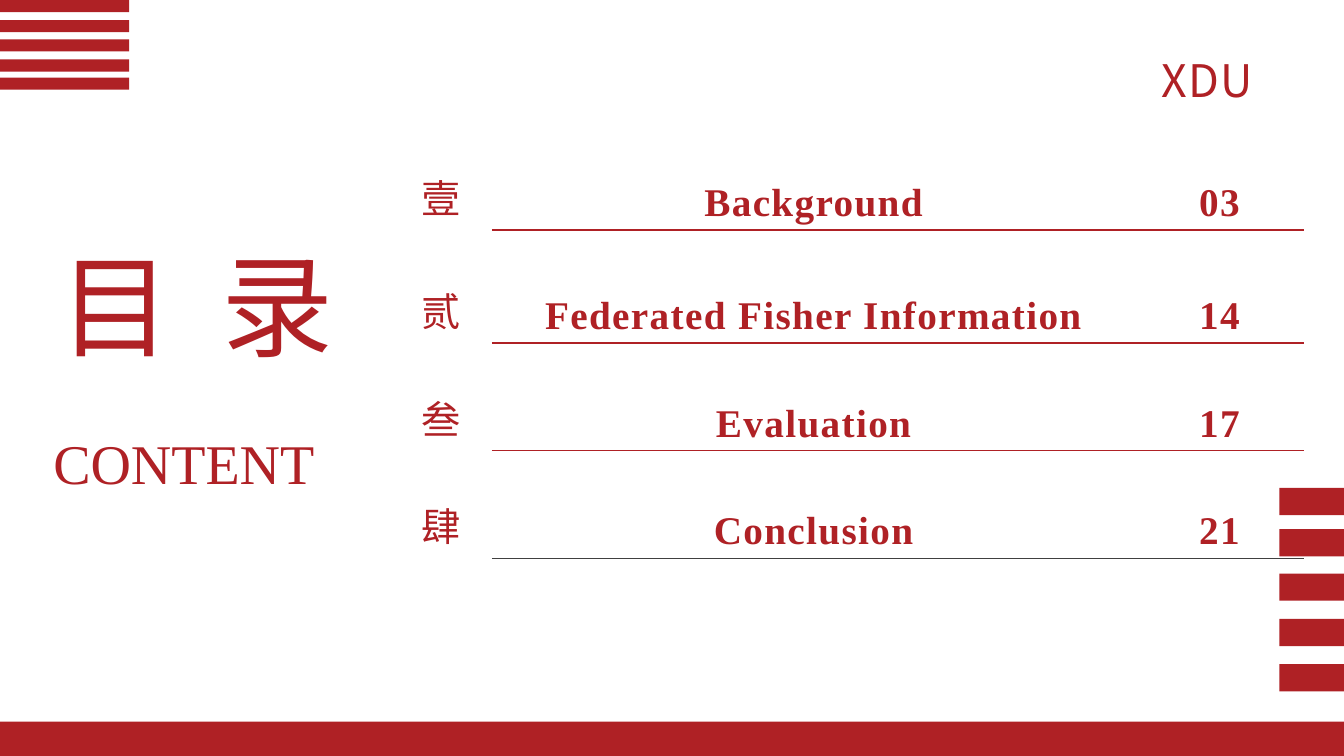
from lxml.etree import SubElement
from pptx import Presentation
from pptx.dml.color import RGBColor
from pptx.enum.shapes import MSO_SHAPE
from pptx.enum.text import MSO_ANCHOR, MSO_AUTO_SIZE, PP_ALIGN
from pptx.oxml import parse_xml
from pptx.oxml.ns import nsdecls, qn
from pptx.util import Inches, Pt

RED = RGBColor(0xAF, 0x21, 0x25)
DARK = RGBColor(0x40, 0x40, 0x40)
CJK, LATIN = "Noto Sans CJK SC", "Times New Roman"

CONTENTS = [
    ("壹", "Background", "03"),
    ("贰", "Federated Fisher Information", "14"),
    ("叁", "Evaluation", "17"),
    ("肆", "Conclusion", "21"),
]
COLUMNS = (1.02, 6.38, 1.67)
ROWS = (1.07, 1.12, 1.07, 1.07)
HEADINGS = [  # text, box, size, font, tracking, alignment, line spacing, wrap
    ("XDU", (11.42, 0.31, 1.21, 0.74), 32, CJK, 1, PP_ALIGN.JUSTIFY, 1.3, False),
    ("目 录", (0.49, 2.3, 3.11, 1.45), 80, CJK, 9, PP_ALIGN.LEFT, None, False),
    ("CONTENT", (0.43, 4.2, 3.35, 0.77), 40, LATIN, 0, PP_ALIGN.JUSTIFY, None, True),
]
BAND = (0, 7.16, 13.33, 0.34)
STRIPES = [  # left, width, height, tops
    (0, 1.28, 0.12, (0, 0.2, 0.39, 0.59, 0.77)),
    (12.69, 0.64, 0.27, (4.84, 5.25, 5.69, 6.14, 6.59)),
]


def style_text(p, size, font, tracking=0, bold=False):
    """Format the paragraph's runs; tracking is in points."""
    for r in p.runs:
        r.font.size, r.font.name, r.font.bold = Pt(size), font, bold
        r.font.color.rgb = RED
        rPr = r._r.get_or_add_rPr()
        if tracking:
            rPr.set("spc", str(tracking * 100))
        SubElement(rPr, qn("a:ea")).set("typeface", font)


def add_heading(slide, text, box, size, font, tracking, align, spacing, wrap):
    tf = slide.shapes.add_textbox(*map(Inches, box)).text_frame
    tf.word_wrap = wrap
    tf.auto_size = MSO_AUTO_SIZE.SHAPE_TO_FIT_TEXT
    p = tf.paragraphs[0]
    p.text = text
    p.alignment, p.line_spacing = align, spacing
    style_text(p, size, font, tracking)


def set_borders(cell, **rules):
    """Draw the sides given as (colour, points); leave the others bare."""
    tcPr = cell._tc.get_or_add_tcPr()
    for i, side in enumerate("LRTB"):
        if side in rules:
            color, width = rules[side]
            fill = f'<a:solidFill><a:srgbClr val="{color}"/></a:solidFill>'
        else:
            fill, width = "<a:noFill/>", 1
        tcPr.insert(i, parse_xml(
            f'<a:ln{side} {nsdecls("a")} w="{Pt(width)}">{fill}</a:ln{side}>'))


def add_contents(slide):
    table = slide.shapes.add_table(
        len(ROWS), len(COLUMNS), Inches(3.86), Inches(1.21),
        Inches(sum(COLUMNS)), Inches(sum(ROWS))).table
    table.first_row = table.horz_banding = False
    for column, width in zip(table.columns, COLUMNS):
        column.width = Inches(width)
    for row, height in zip(table.rows, ROWS):
        row.height = Inches(height)
    for i, entry in enumerate(CONTENTS):
        for j, text in enumerate(entry):
            cell = table.cell(i, j)
            cell.fill.background()
            cell.vertical_anchor = MSO_ANCHOR.BOTTOM
            p = cell.text_frame.paragraphs[0]
            p.text = text
            p.alignment = PP_ALIGN.CENTER
            if i == 0 and j < 2:
                p.line_spacing = 1.5
            style_text(p, 28, LATIN if j else CJK, 1, bold=j > 0)
            rules = {}
            if j:
                last = i == len(CONTENTS) - 1
                rules["B"] = (DARK, 0.75) if last else (RED, 1.5)
                if i:
                    rules["T"] = (RED, 1.5)
            set_borders(cell, **rules)


def add_bar(slide, *box):
    sp = slide.shapes.add_shape(MSO_SHAPE.RECTANGLE, *map(Inches, box))
    sp.shadow.inherit = False
    sp.fill.solid()
    sp.fill.fore_color.rgb = RED
    sp.line.fill.background()


def main():
    prs = Presentation()
    prs.slide_width, prs.slide_height = Inches(13.33), Inches(7.5)
    slide = prs.slides.add_slide(prs.slide_layouts[6])
    for heading in HEADINGS:
        add_heading(slide, *heading)
    add_contents(slide)
    add_bar(slide, *BAND)
    for left, width, height, tops in STRIPES:
        for top in tops:
            add_bar(slide, left, top, width, height)
    prs.save("out.pptx")


if __name__ == "__main__":
    main()
